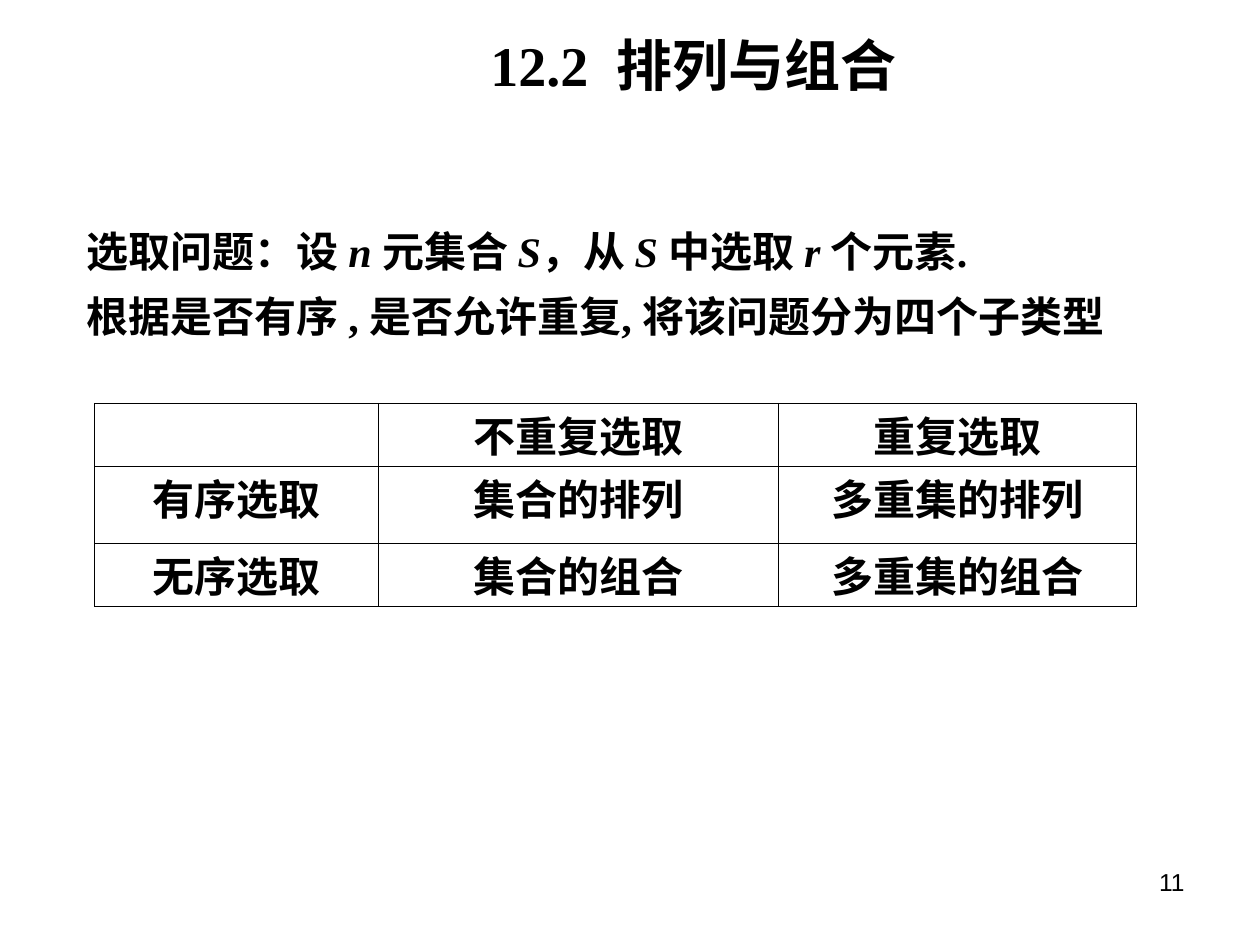
from dataclasses import dataclass

from lxml import etree
from pptx import Presentation
from pptx.dml.color import RGBColor
from pptx.enum import text as t
from pptx.oxml import ns
from pptx.util import Inches, Pt


@dataclass(frozen=True)
class Theme:
    ink: RGBColor = RGBColor(0, 0, 0)
    paper: RGBColor = RGBColor(255, 255, 255)
    serif: str = "Times New Roman"
    sans: str = "Arial"
    title_size: int = 32
    body_size: int = 24
    number_size: int = 14
    border: float = 0.45


THEME = Theme()


def add_run(paragraph, words, size, face, bold=True, italic=False):
    run = paragraph.add_run()
    run.text = words
    font = run.font
    font.size, font.name = Pt(size), face
    font.bold, font.italic = bold, italic
    font.color.rgb = THEME.ink


def add_title(slide):
    title = slide.shapes.title
    title.left, title.top = Inches(2.16), Inches(0.28)
    title.width, title.height = Inches(6.69), Inches(0.46)
    frame = title.text_frame
    frame.auto_size = t.MSO_AUTO_SIZE.NONE
    frame.vertical_anchor = t.MSO_ANCHOR.MIDDLE
    heading = frame.paragraphs[0]
    heading.alignment = t.PP_ALIGN.CENTER
    add_run(heading, "12.2  ", THEME.title_size, THEME.serif)
    add_run(heading, "排列与组合", THEME.title_size, THEME.sans)


def add_text_frame(slide, left, top, width, height):
    box = slide.shapes.add_textbox(Inches(left), Inches(top),
                                   Inches(width), Inches(height))
    box.text_frame.word_wrap = True
    return box.text_frame


def add_problem(slide, paragraphs):
    frame = add_text_frame(slide, 0.59, 1.62, 8.55, 1.66)
    frame.auto_size = t.MSO_AUTO_SIZE.SHAPE_TO_FIT_TEXT
    for index, pieces in enumerate(paragraphs):
        paragraph = frame.add_paragraph() if index else frame.paragraphs[0]
        paragraph.line_spacing = 1.3
        # Prose and italic symbols alternate, starting with prose
        for place, words in enumerate(pieces):
            add_run(paragraph, words, THEME.body_size, THEME.serif,
                    italic=place % 2 == 1)


def set_borders(cell):
    properties = cell._tc.get_or_add_tcPr()
    for place, side in enumerate(("lnL", "lnR", "lnT", "lnB")):
        line = etree.Element(ns.qn(f"a:{side}"), w=str(Pt(THEME.border)))
        fill = etree.SubElement(line, ns.qn("a:solidFill"))
        etree.SubElement(fill, ns.qn("a:srgbClr"), val=str(THEME.ink))
        properties.insert(place, line)


def fill_cell(cell, words):
    cell.fill.solid()
    cell.fill.fore_color.rgb = THEME.paper
    set_borders(cell)
    if not words:
        return
    cell.margin_top, cell.margin_bottom = Inches(0.1), 0
    label = cell.text_frame.paragraphs[0]
    label.alignment = t.PP_ALIGN.CENTER
    label.line_spacing = Pt(28)  # keeps the rows at their set heights
    add_run(label, words, THEME.body_size, THEME.sans)


def add_selection_table(slide, rows, widths, heights):
    table = slide.shapes.add_table(
        len(rows), len(widths), Inches(0.75), Inches(3.2),
        Inches(sum(widths)), Inches(sum(heights))).table
    table.first_row = table.horz_banding = False
    for column, width in zip(table.columns, widths):
        column.width = Inches(width)
    for row, height, labels in zip(table.rows, heights, rows):
        row.height = Inches(height)
        for cell, words in zip(row.cells, labels):
            fill_cell(cell, words)


def add_page_number(slide, number):
    paragraph = add_text_frame(slide, 7.17, 6.83, 2.33, 0.52).paragraphs[0]
    paragraph.alignment = t.PP_ALIGN.RIGHT
    add_run(paragraph, number, THEME.number_size, THEME.sans, bold=False)


def main():
    deck = Presentation()
    deck.slide_width, deck.slide_height = Inches(10), Inches(7.5)
    slide = deck.slides.add_slide(deck.slide_layouts[5])

    # Problem statement
    add_problem(slide, [
        ["选取问题：设 ", "n ", "元集合 ", "S", "，从 ", "S ",
         "中选取 ", "r ", "个元素."],
        ["根据是否有序 , 是否允许重复, 将该问题分为四个子类型"],
    ])

    # Four subtypes of selection
    add_selection_table(slide, [
        ["", "不重复选取", "重复选取"],
        ["有序选取", "集合的排列", "多重集的排列"],
        ["无序选取", "集合的组合", "多重集的组合"],
    ], widths=[2.25, 3.18, 2.84], heights=[0.5, 0.61, 0.5])

    # Heading and page number
    add_title(slide)
    add_page_number(slide, "11")
    deck.save("out.pptx")


if __name__ == "__main__":
    main()
